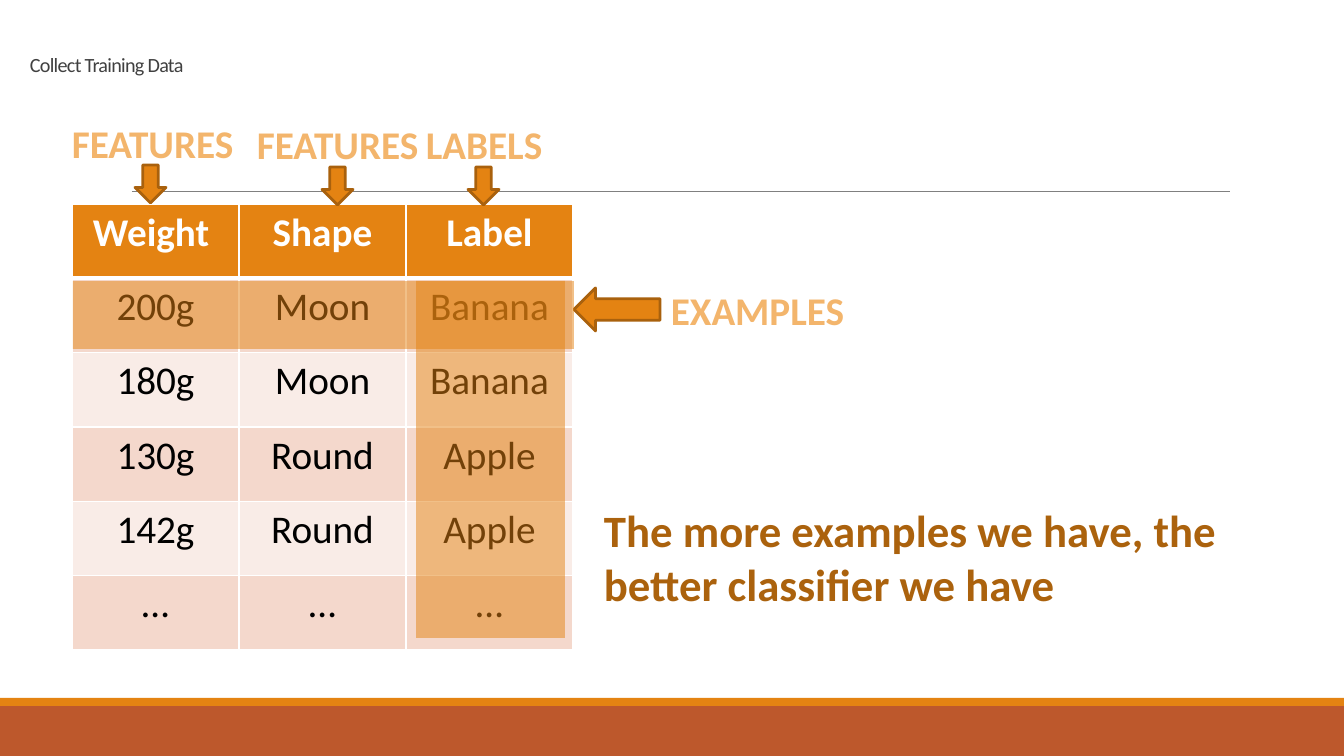
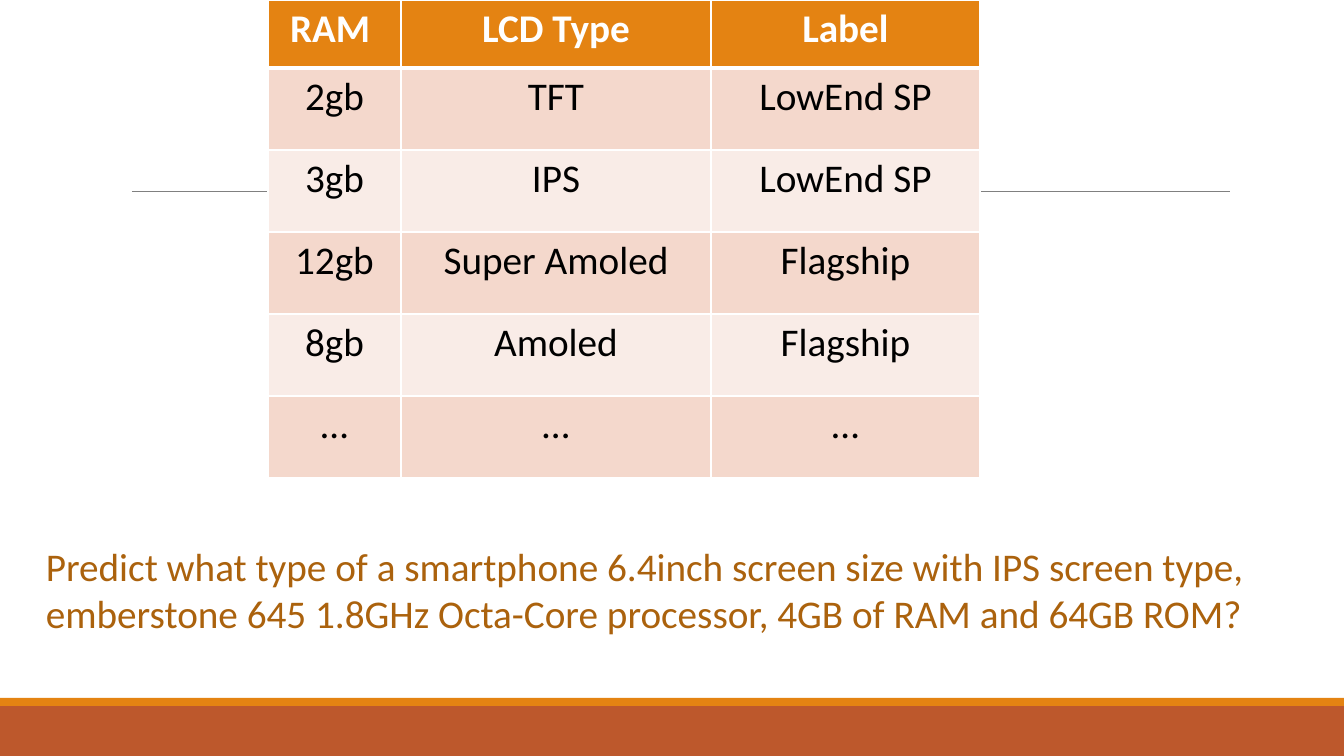
"""Build two slides on collecting training data for a classifier."""
from lxml import etree
from pptx import Presentation
from pptx import util as u
from pptx.dml.color import RGBColor
from pptx.enum import shapes, text
from pptx.oxml.ns import qn

WIDE, HIGH = 1344, 756
SCALE = 12192000 / WIDE
FONT = "Calibri"

WHITE = RGBColor(0xFF, 0xFF, 0xFF)
BLACK = RGBColor(0, 0, 0)
GRAY = RGBColor(0x80, 0x80, 0x80)
DARK = RGBColor(0x40, 0x40, 0x40)
RUST = RGBColor(0xBD, 0x58, 0x2C)
ORANGE = RGBColor(0xE4, 0x83, 0x12)
PEACH = RGBColor(0xF3, 0xB5, 0x6C)
BROWN = RGBColor(0xA9, 0x61, 0x0D)
AMBER = RGBColor(0xAB, 0x62, 0x0D)
ROSE = RGBColor(0xF4, 0xD8, 0xCC)
BLUSH = RGBColor(0xF9, 0xEC, 0xE7)

DOWN = shapes.MSO_SHAPE.DOWN_ARROW
LEFT = shapes.MSO_SHAPE.LEFT_ARROW
RECT = shapes.MSO_SHAPE.RECTANGLE

BANDS = [((0, 706, WIDE, 50), RUST), ((0, 698, WIDE, 8), ORANGE)]
RULE = (132, 191, 1230, 191)

TITLE = ("Collect Training Data", (20, 11, 574, 71))
FRUIT = [
    ("Weight ", "Shape", "Label"),
    ("200g", "Moon", "Banana"),
    ("180g", "Moon", "Banana"),
    ("130g", "Round", "Apple"),
    ("142g", "Round", "Apple"),
    ("…", "…", "…"),
]
TAGS = [
    ("FEATURES", (62, 114, 190, 57), DOWN, (135, 165, 31, 38)),
    ("FEATURES", (247, 115, 190, 57), DOWN, (322, 167, 31, 38)),
    ("EXAMPLES", (661, 281, 204, 57), LEFT, (574, 288, 86, 43)),
    ("LABELS", (416, 115, 146, 57), DOWN, (468, 167, 31, 38)),
]
VEILS = [(73, 281, 501, 68), (416, 281, 149, 357)]
MORAL = ("The more examples we have, the better classifier we have",
         (594, 498, 703, 117))

PHONES = [
    ("RAM ", "LCD Type", "Label"),
    ("2gb", "TFT", "LowEnd SP"),
    ("3gb", "IPS", "LowEnd SP"),
    ("12gb", "Super Amoled", "Flagship"),
    ("8gb", "Amoled", "Flagship"),
    ("…", "…", "…"),
]
QUERY = ("Predict what type of a smartphone 6.4inch screen size with IPS "
         "screen type, emberstone 645 1.8GHz Octa-Core processor, 4GB of RAM "
         "and 64GB ROM?", (36, 537, 1257, 104))


def emu(*sizes):
    return [round(size * SCALE) for size in sizes]


def style(para, size, color, bold=False):
    font = para.font
    font.name, font.size, font.bold = FONT, u.Pt(size), bold
    font.color.rgb = color


def add_shape(slide, kind, box, fill, line=None, alpha=None):
    shape = slide.shapes.add_shape(kind, *emu(*box))
    shape.shadow.inherit = False
    shape.fill.solid()
    shape.fill.fore_color.rgb = fill
    if alpha:
        color = shape._element.spPr.find(qn("a:solidFill"))[0]
        etree.SubElement(color, qn("a:alpha"), val=str(alpha * 1000))
    if line:
        shape.line.color.rgb = line
        shape.line.width = u.Pt(2)
    else:
        shape.line.fill.background()


def add_text(slide, words, box, size, color, bold=False):
    frame = slide.shapes.add_textbox(*emu(*box)).text_frame
    frame.word_wrap = True
    frame.auto_size = text.MSO_AUTO_SIZE.SHAPE_TO_FIT_TEXT
    frame.text = words
    style(frame.paragraphs[0], size, color, bold)
    return frame


def add_title(slide, words, box):
    frame = add_text(slide, words, box, 14.4, DARK)
    frame.auto_size = text.MSO_AUTO_SIZE.NONE
    frame.vertical_anchor = text.MSO_ANCHOR.BOTTOM
    para = frame.paragraphs[0]
    para.line_spacing = 0.85
    para.runs[0]._r.get_or_add_rPr().set("spc", "-50")


def add_edges(cell, row):
    thick = {0: "lnB", 1: "lnT"}.get(row)
    props = cell._tc.get_or_add_tcPr()
    for spot, side in enumerate(("lnL", "lnR", "lnT", "lnB")):
        width = u.Pt(3 if side == thick else 0.96)
        edge = etree.Element(qn(f"a:{side}"), w=str(int(width)))
        fill = etree.SubElement(edge, qn("a:solidFill"))
        etree.SubElement(fill, qn("a:srgbClr"), val=str(WHITE))
        props.insert(spot, edge)


def add_table(slide, data, left, top, cols, rows):
    box = emu(left, top, sum(cols), sum(rows))
    table = slide.shapes.add_table(len(rows), len(cols), *box).table
    table.first_row = table.horz_banding = False
    for col, wide in zip(table.columns, emu(*cols)):
        col.width = wide
    for row, high in zip(table.rows, emu(*rows)):
        row.height = high
    for r, line in enumerate(data):
        head = r == 0
        for c, words in enumerate(line):
            cell = table.cell(r, c)
            cell.text = words
            cell.fill.solid()
            cell.fill.fore_color.rgb = (
                ORANGE if head else ROSE if r % 2 else BLUSH)
            para = cell.text_frame.paragraphs[0]
            para.alignment = text.PP_ALIGN.CENTER
            style(para, 28, WHITE if head else BLACK, head)
            add_edges(cell, r)


def add_slide(deck):
    slide = deck.slides.add_slide(deck.slide_layouts[6])
    for box, fill in BANDS:
        add_shape(slide, RECT, box, fill)
    rule = slide.shapes.add_connector(
        shapes.MSO_CONNECTOR.STRAIGHT, *emu(*RULE))
    rule.line.color.rgb = GRAY
    rule.line.width = u.Pt(0.5)
    etree.SubElement(rule._element.spPr, qn("a:effectLst"))
    return slide


def build_fruit(deck):
    slide = add_slide(deck)
    add_title(slide, *TITLE)
    add_table(slide, FRUIT, 72, 204, [167] * 3, [446 / 6] * 6)
    for words, box, kind, arrow in TAGS:
        add_shape(slide, kind, arrow, ORANGE, BROWN)
        add_text(slide, words, box, 28, PEACH, True)
    for box in VEILS:
        add_shape(slide, RECT, box, ORANGE, alpha=50)
    add_text(slide, *MORAL, 32, AMBER, True)


def build_phones(deck):
    slide = add_slide(deck)
    add_table(slide, PHONES, 268, 0, [133, 310, 269], [68] + [82] * 5)
    add_text(slide, *QUERY, 28, AMBER)


def main():
    deck = Presentation()
    deck.slide_width, deck.slide_height = emu(WIDE, HIGH)
    build_fruit(deck)
    build_phones(deck)
    deck.save("out.pptx")


if __name__ == "__main__":
    main()
